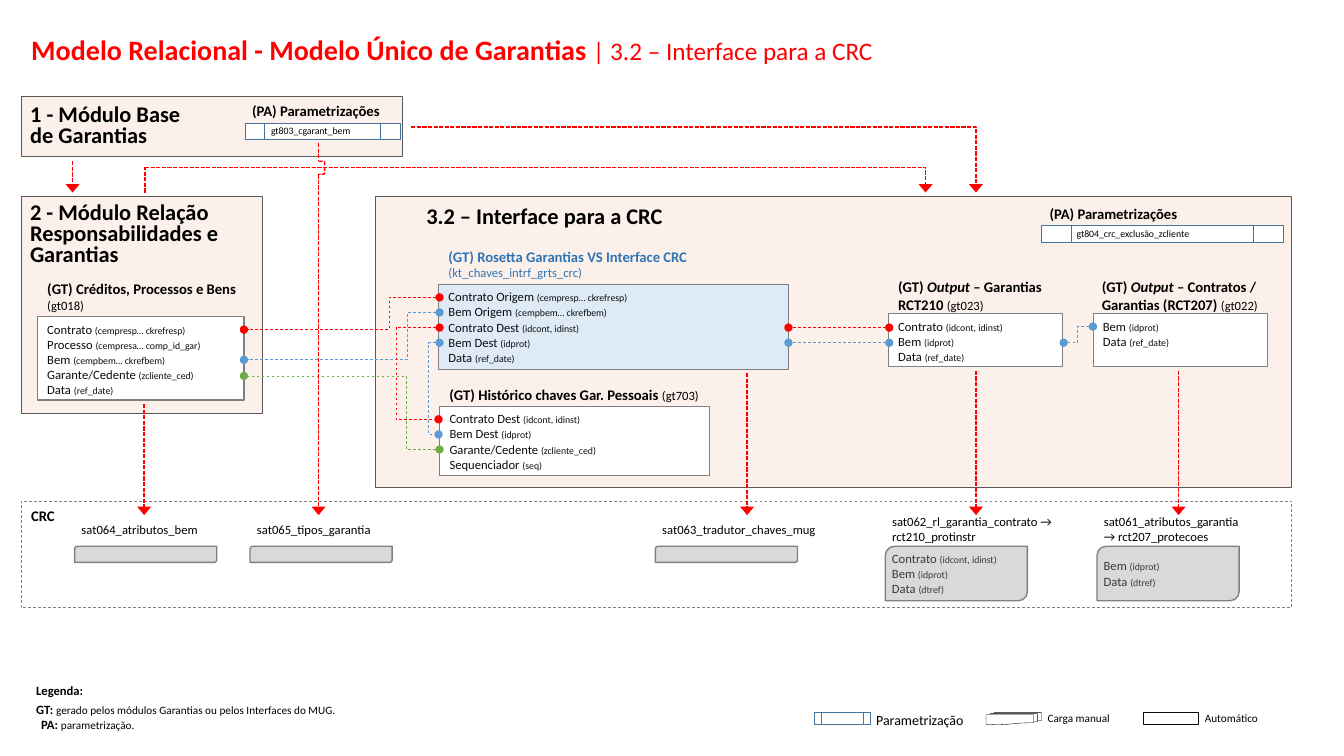
import dataclasses

import pptx
import pptx.dml.color
import pptx.enum.dml
import pptx.enum.shapes
import pptx.enum.text
import pptx.oxml
import pptx.oxml.ns
import pptx.util

SHAPE = pptx.enum.shapes.MSO_SHAPE
CONNECTOR = pptx.enum.shapes.MSO_CONNECTOR
ANCHOR = pptx.enum.text.MSO_ANCHOR
DASH = pptx.enum.dml.MSO_LINE


@dataclasses.dataclass(frozen=True)
class Theme:
    """Colours, type sizes and grid unit of the slide."""
    font: str = "Calibri"
    black: str = "000000"
    ink: str = "0D0D0D"
    store_ink: str = "3B3838"
    red: str = "FF0000"
    blue: str = "5B9BD5"
    green: str = "70AD47"
    heading_blue: str = "2E75B6"
    parameter_line: str = "43739E"
    grey: str = "808080"
    panel_line: str = "595959"
    panel: str = "FBE5D6"
    white: str = "FFFFFF"
    pale_blue: str = "DEEBF7"
    store: str = "D9D9D9"
    title: float = 20
    subtitle: float = 18
    heading: float = 16
    caption: float = 10.5
    legend: float = 10
    body: float = 9
    note: float = 8
    detail: float = 7
    cell: float = 0.1


class Diagram:
    """Draws on one slide with a grid of tenth-of-an-inch columns and rows."""

    def __init__(self, presentation, theme):
        self.theme = theme
        self.slide = presentation.slides.add_slide(presentation.slide_layouts[5])

    def grid(self, *cells):
        """Turn columns and rows into lengths."""
        return [pptx.util.Inches(round(cell * self.theme.cell, 3)) for cell in cells]

    def color(self, value):
        """Turn a theme colour into an RGB colour."""
        return pptx.dml.color.RGBColor.from_string(value)

    def fill_text(self, frame, paragraphs, size, color=None, bold=False, spacing=None,
                  anchor=ANCHOR.TOP, inset=(1, 0.5, 1, 0.5)):
        """Fill a text frame; a run is a text or (text, differing font values)."""
        frame.word_wrap = True
        frame.auto_size = pptx.enum.text.MSO_AUTO_SIZE.NONE
        frame.vertical_anchor = anchor
        (frame.margin_left, frame.margin_top,
         frame.margin_right, frame.margin_bottom) = self.grid(*inset)
        for index, runs in enumerate(paragraphs):
            paragraph = frame.add_paragraph() if index else frame.paragraphs[0]
            paragraph.alignment = pptx.enum.text.PP_ALIGN.LEFT
            paragraph.line_spacing = spacing
            paragraph.font.name = self.theme.font
            paragraph.font.size = pptx.util.Pt(size)
            paragraph.font.bold = bold
            paragraph.font.color.rgb = self.color(color or self.theme.black)
            for item in runs:
                text, changes = (item, {}) if isinstance(item, str) else item
                run = paragraph.add_run()
                run.text = text
                if "size" in changes:
                    run.font.size = pptx.util.Pt(changes["size"])
                run.font.bold = changes.get("bold")
                run.font.italic = changes.get("italic")

    def title(self, box, runs):
        """Place and format the title placeholder."""
        shape = self.slide.shapes.title
        shape.left, shape.top, shape.width, shape.height = self.grid(*box)
        self.fill_text(shape.text_frame, [runs], self.theme.title, self.theme.red, True, 0.9)

    def text(self, box, paragraphs, size, **style):
        """Add a text box."""
        shape = self.slide.shapes.add_textbox(*self.grid(*box))
        self.fill_text(shape.text_frame, paragraphs, size, **style)

    def shape(self, box, kind=SHAPE.RECTANGLE, fill=None, line=None, width=0.5,
              dash=None, alpha=None):
        """Add a preset shape."""
        shape = self.slide.shapes.add_shape(kind, *self.grid(*box))
        shape.shadow.inherit = False
        if fill:
            shape.fill.solid()
            shape.fill.fore_color.rgb = self.color(fill)
        else:
            shape.fill.background()
        if alpha:
            tint = shape.element.spPr.find(".//" + pptx.oxml.ns.qn("a:srgbClr"))
            tint.append(self.element("alpha", val=alpha * 1000))
        shape.line.color.rgb = self.color(line or self.theme.grey)
        shape.line.width = pptx.util.Pt(width)
        if dash:
            shape.line.dash_style = dash
        return shape

    def element(self, tag, **attributes):
        """Build a drawing element."""
        element = pptx.oxml.parse_xml(f"<a:{tag} {pptx.oxml.ns.nsdecls('a')}/>")
        for name, value in attributes.items():
            element.set(name, str(value))
        return element

    def panel(self, *box):
        """Add a translucent module panel."""
        self.shape(box, fill=self.theme.panel, line=self.theme.panel_line, alpha=50)

    def rows(self, shape, rows, color, **style):
        """Fill a shape with field names and their smaller details."""
        paragraphs = [[name + " ", (f"({detail})", {"size": self.theme.detail})]
                      for name, detail in rows]
        self.fill_text(shape.text_frame, paragraphs, self.theme.body, color, **style)

    def entity(self, box, rows, caption_box, caption, fill=None, color=None, width=0.5):
        """Add a table entity with its caption."""
        shape = self.shape(box, fill=fill or self.theme.white, width=width)
        self.rows(shape, rows, self.theme.ink)
        self.text(caption_box, caption, self.theme.caption, bold=True, color=color,
                  anchor=ANCHOR.MIDDLE, inset=(1, 0.5, 0.4, 0.5))

    def parameter(self, box, label_box, label):
        """Add a parameter table with its name."""
        self.shape(box, SHAPE.FLOWCHART_PREDEFINED_PROCESS, self.theme.white,
                   self.theme.parameter_line)
        self.text(label_box, [[label]], self.theme.detail, inset=(1, 0.5, 0.4, 0.5))

    def store(self, left, height, label, label_width, rows):
        """Add a CRC destination with its name."""
        shape = self.shape((left, 54.2, 14.1, height), SHAPE.ROUND_2_DIAG_RECTANGLE,
                           self.theme.store, width=1)
        if rows:
            self.rows(shape, rows, self.theme.store_ink, anchor=ANCHOR.MIDDLE,
                      inset=(0.4, 0.5, 0, 0.5))
        self.text((left - 0.3, 51.1, label_width, 2.8), [[label]], self.theme.body,
                  anchor=ANCHOR.MIDDLE)

    def connector(self, kind, points, color, width, dash, ends):
        """Add a dashed connector with the given line ends."""
        connector = self.slide.shapes.add_connector(kind, *self.grid(*points))
        connector.line.color.rgb = self.color(color)
        connector.line.width = pptx.util.Pt(width)
        connector.line.dash_style = dash
        properties = connector.element.spPr
        line = properties.find(pptx.oxml.ns.qn("a:ln"))
        for tag, (end, breadth) in ends.items():
            line.append(self.element(tag, type=end, w=breadth, len="med"))
        properties.append(self.element("effectLst"))
        return properties.find(pptx.oxml.ns.qn("a:prstGeom"))

    def link(self, color, start, bend, finish):
        """Join two fields through a vertical run at the bend column."""
        ends = {"headEnd": ("oval", "med"), "tailEnd": ("oval", "med")}
        kind = CONNECTOR.ELBOW if bend else CONNECTOR.STRAIGHT
        geometry = self.connector(kind, (*start, *finish), color, 0.5, DASH.DASH, ends)
        if bend:
            share = (bend - start[0]) / (finish[0] - start[0])
            guides = geometry.find(pptx.oxml.ns.qn("a:avLst"))
            guides.append(self.element("gd", name="adj1", fmla=f"val {round(share * 100000)}"))

    def flow(self, *points, corner=False, arrow=True):
        """Add a flow line, straight or with one corner."""
        kind = CONNECTOR.ELBOW if corner else CONNECTOR.STRAIGHT
        ends = {"tailEnd": ("triangle", "lg")} if arrow else {}
        geometry = self.connector(kind, points, self.theme.red, 1, DASH.SQUARE_DOT, ends)
        if corner:
            geometry.set("prst", "bentConnector2")


def main():
    """Build and save the slide."""
    presentation = pptx.Presentation()
    presentation.slide_width = pptx.util.Inches(13.33)
    presentation.slide_height = pptx.util.Inches(7.5)
    theme = Theme()
    diagram = Diagram(presentation, theme)
    small = {"size": theme.body, "bold": False}
    note = {"size": theme.note, "bold": False}
    heading = {"size": theme.heading, "bold": True, "spacing": pptx.util.Pt(15)}

    diagram.title((2.1, 3.1, 125.9, 3.3), [
        "Modelo Relacional - Modelo Único de Garantias ",
        ("| 3.2 – Interface para a CRC", {"size": theme.subtitle, "bold": False})])
    for box in ((2.1, 9.6, 37.8, 5.9), (37.2, 19.5, 90.9, 28.9), (2.1, 19.5, 23.9, 21.5)):
        diagram.panel(*box)
    diagram.shape((2.1, 49.7, 126, 10.6), dash=DASH.DASH)
    diagram.text((2.1, 10, 18.1, 5.3), [["1 - Módulo Base"], ["de Garantias"]],
                 anchor=ANCHOR.MIDDLE, inset=(0.9, 0, 0, 0), **heading)
    diagram.text((2, 19.7, 21, 7.4), [["2 - Módulo Relação Responsabilidades e Garantias"]], **heading)
    diagram.text((41.3, 20.1, 35.3, 3.2), [["3.2 – Interface para a CRC"]], **heading)
    diagram.text((2.1, 49.8, 4.9, 2.8), [["CRC"]], theme.caption, bold=True, anchor=ANCHOR.MIDDLE)

    for left, top in ((25, 10.1), (104.1, 20.3)):
        diagram.text((left, top, 15.6, 1.8), [["(PA) Parametrizações"]], theme.caption,
                     bold=True, inset=(0, 0, 0, 0))
    diagram.parameter((24.3, 12.2, 15.4, 1.6), (25.9, 11.9, 12.3, 2), "gt803_cgarant_bem")
    diagram.parameter((103.3, 22.4, 24, 1.6), (105.8, 22.1, 19.3, 2), "gt804_crc_exclusão_zcliente")

    contract, asset = ("Contrato", "idcont, idinst"), ("Bem", "idprot")
    target = [("Contrato Dest", "idcont, idinst"), ("Bem Dest", "idprot")]
    guarantor, date = ("Garante/Cedente", "zcliente_ced"), ("Data", "ref_date")
    output = ("Output", {"italic": True})
    diagram.entity((3.7, 31.4, 20.5, 8.3), [
        ("Contrato", "cempresp… ckrefresp"), ("Processo", "cempresa… comp_id_gar"),
        ("Bem", "cempbem… ckrefbem"), guarantor, date], (3.7, 28, 20.5, 2.8),
        [["(GT) Créditos, Processos e Bens ", ("(gt018)", small)]], width=1)
    diagram.entity((43.5, 28.2, 34.7, 8.4), [
        ("Contrato Origem", "cempresp… ckrefresp"), ("Bem Origem", "cempbem… ckrefbem"),
        *target, date], (43.5, 23.9, 29, 4.6),
        [["(GT) Rosetta Garantias VS Interface CRC "], [("(kt_chaves_intrf_grts_crc)", small)]],
        theme.pale_blue, theme.heading_blue)
    diagram.entity((43.6, 40.3, 26.8, 6.9), [*target, guarantor, ("Sequenciador", "seq")],
                   (43.6, 37.7, 28.4, 2.8),
                   [["(GT) Histórico chaves Gar. Pessoais ", ("(gt703)", small)]])
    diagram.entity((88.1, 31.1, 17.3, 5.3), [contract, asset, date], (88.1, 27.9, 17.3, 2.8),
                   [["(GT) ", output, " – Garantias RCT210 ", ("(gt023)", small)]])
    diagram.entity((108.4, 31.1, 17.3, 5.3), [asset, date], (108.3, 27.9, 18.1, 2.8),
                   [["(GT) ", output, " – Contratos / Garantias (RCT207) ", ("(gt022)", small)]])

    stored = [asset, ("Data", "dtref")]
    for store in ((7.4, 1.6, "sat064_atributos_bem", 14.2, []),
                  (24.8, 1.6, "sat065_tipos_garantia", 14.2, []),
                  (65, 1.6, "sat063_tradutor_chaves_mug", 18.6, []),
                  (87.8, 5.4, "sat062_rl_garantia_contrato → rct210_protinstr", 18.6, [contract, *stored]),
                  (108.8, 5.4, "sat061_atributos_garantia → rct207_protecoes", 16.7, stored)):
        diagram.store(*store)

    for link in ((theme.red, (43.6, 29.5), 38.6, (24.2, 32.7)),
                 (theme.blue, (43.6, 31), 40.4, (24.2, 35.7)),
                 (theme.green, (43.6, 44.6), 40.3, (24.2, 37.3)),
                 (theme.red, (43.6, 32.5), 39.2, (43.5, 41.6)),
                 (theme.blue, (43.6, 34), 42.5, (43.5, 43.1)),
                 (theme.red, (88.2, 32.5), None, (78.2, 32.5)),
                 (theme.blue, (88.2, 34), None, (78.2, 34)),
                 (theme.blue, (108.4, 32.4), 106.9, (105.5, 34))):
        diagram.link(*link)

    for column, top, bottom in ((7.2, 16, 19.1), (14.3, 40.1, 51.1), (31.6, 17.3, 51.1),
                                (74.1, 37, 51.1), (96.8, 36.8, 51.1), (116.9, 36.8, 51.1)):
        diagram.flow(column, top, column, bottom)
    diagram.flow(14.4, 19.1, 14.4, 16.6, arrow=False)
    diagram.flow(14.4, 16.6, 91.8, 19.1, corner=True)
    diagram.flow(40.8, 12.6, 96.8, 19.1, corner=True)
    diagram.flow(31.6, 14.2, 31.6, 16, arrow=False)
    diagram.shape((31.6, 16, 0.6, 1.3), SHAPE.RIGHT_BRACKET, line=theme.red, width=1,
                  dash=DASH.SQUARE_DOT)

    diagram.text((2.6, 67.3, 8.9, 2.5), [["Legenda:"]], theme.body, bold=True)
    for left, top, term, meaning in (
            (2.6, 69.1, "GT: ", "gerado pelos módulos Garantias ou pelos Interfaces do MUG."),
            (3.1, 70.6, "PA: ", "parametrização.")):
        diagram.text((left, top, 33.4, 2.3), [[term, (meaning, note)]], theme.body, bold=True)
    for left, kind, fill, line, width, label, size in (
            (80.8, SHAPE.FLOWCHART_PREDEFINED_PROCESS, theme.white, theme.parameter_line, 0.5,
             "Parametrização", theme.legend),
            (97.8, SHAPE.FLOWCHART_MULTIDOCUMENT, None, theme.black, 0.25, "Carga manual", theme.note),
            (113.4, SHAPE.RECTANGLE, theme.white, theme.ink, 0.5, "Automático", theme.note)):
        diagram.shape((left, 70.7, 5.5, 1.2), kind, fill, line, width)
        diagram.text((left + 5.7, 70.1, 10, 2.6), [[label]], size, inset=(0.4, 0.5, 0.4, 0.5))
    presentation.save("out.pptx")


if __name__ == "__main__":
    main()
